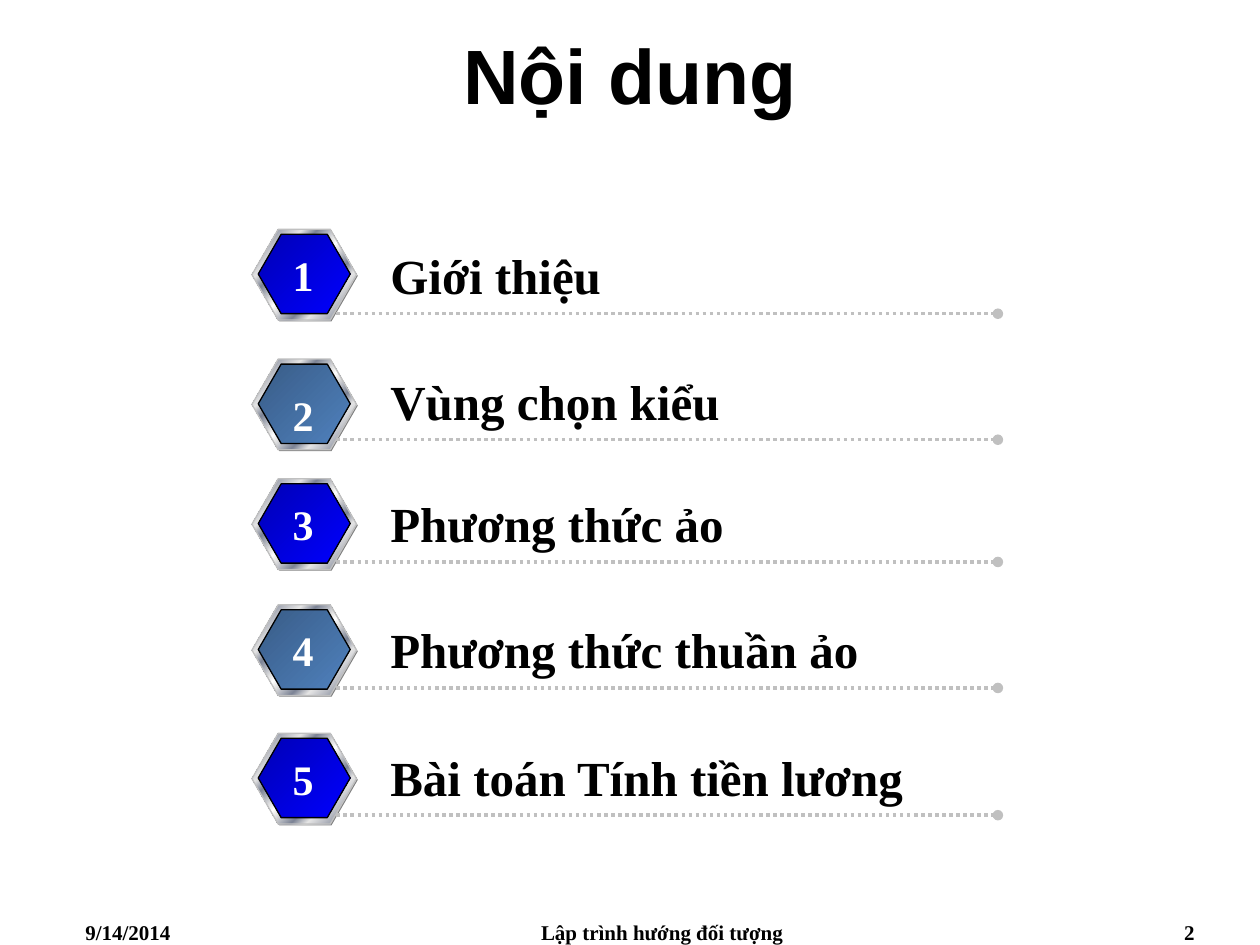
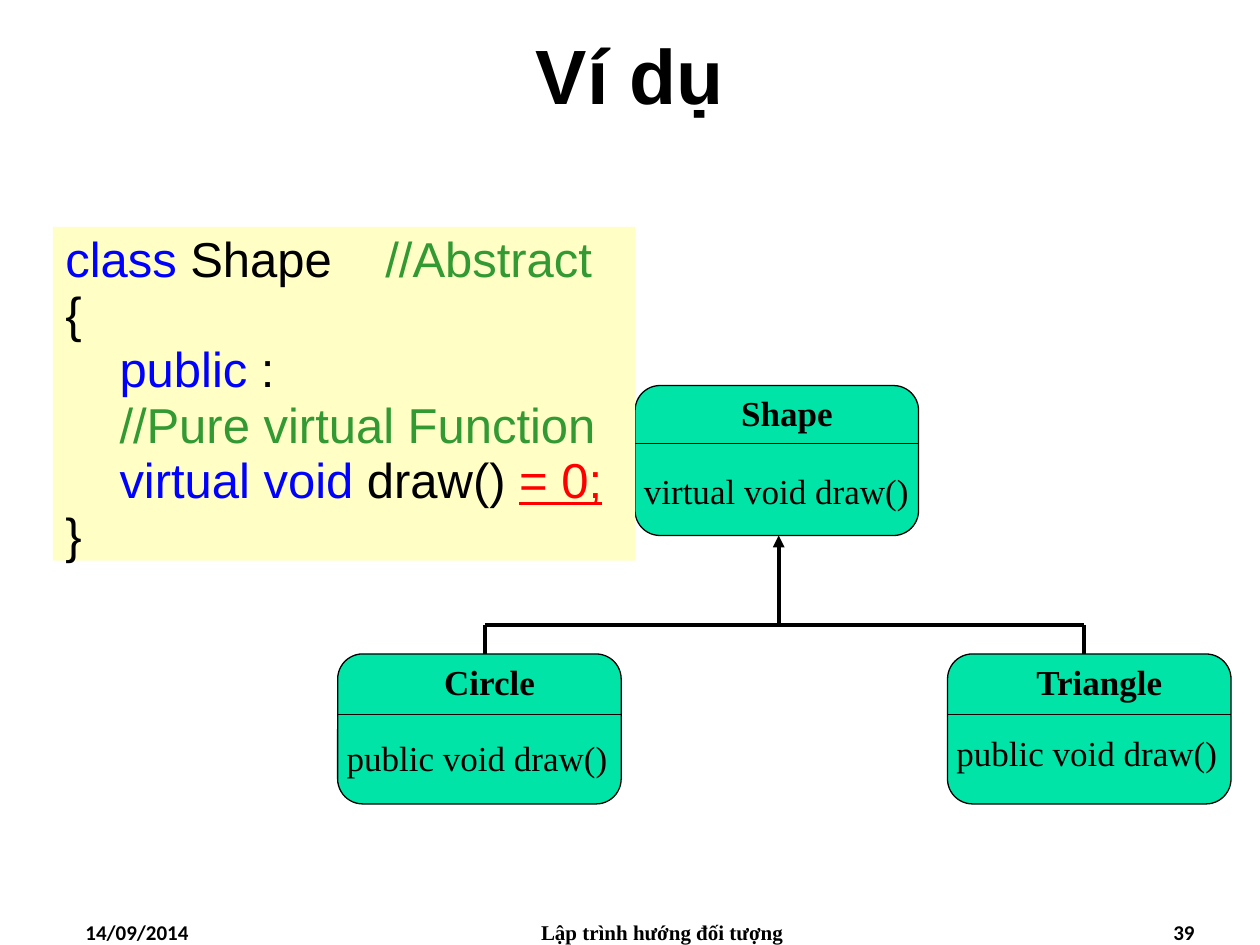
from lxml import etree
from pptx import Presentation
from pptx import util as u
from pptx.dml.color import RGBColor
from pptx.enum import dml, shapes, text
from pptx.oxml.ns import qn

SERIF, SANS, FOOTER_SANS = "Times New Roman", "Arial", "Calibri"
BLACK, WHITE, SILVER, SHADE = "000000", "FFFFFF", "C0C0C0", "808080"
KEYWORD, COMMENT, ACCENT = "0000FF", "339933", "FF0000"
CARD, PAPER = "00E4A8", "FFFFC5"
STEEL = list(zip(
    (0, 7, 26, 34, 46, 50, 54, 66, 74, 93, 100),
    ("E6E6E6", "7D8496", "E6E6E6", "7D8496", "E6E6E6", WHITE,
     "E6E6E6", "7D8496", "E6E6E6", "7D8496", "E6E6E6")))
BADGES = [[(0, "0000B6"), (100, "0000FF")], [(0, "395C87"), (100, "4F81BD")]]


def paint(shape, fill=None, line=None, width=0.75, tail=None):
    """Set a flat or gradient fill, the outline and its end, without shadow."""
    properties = shape._element.spPr
    if isinstance(fill, str):
        shape.fill.solid()
        shape.fill.fore_color.rgb = RGBColor.from_string(fill)
    elif fill:
        shape.fill.gradient()
        shape.fill.gradient_angle = 315
        stops = properties.find(qn("a:gradFill")).find(qn("a:gsLst"))
        for stop in list(stops):
            stops.remove(stop)
        for share, colour in fill:
            stop = etree.SubElement(stops, qn("a:gs"), pos=str(share * 1000))
            etree.SubElement(stop, qn("a:srgbClr"), val=colour)
    if line:
        shape.line.color.rgb = RGBColor.from_string(line)
        shape.line.width = u.Pt(width)
    else:
        shape.line.fill.background()
    if tail == "oval":
        shape.line.dash_style = dml.MSO_LINE.ROUND_DOT
    if tail:
        etree.SubElement(properties.find(qn("a:ln")), qn("a:tailEnd"), type=tail)
    etree.SubElement(properties, qn("a:effectLst"))


def write(frame, lines, size, font, bold=False, align=text.PP_ALIGN.LEFT):
    """Fill a text frame with lines, each a list of (words, colour) runs."""
    frame.word_wrap = True
    frame.auto_size = text.MSO_AUTO_SIZE.NONE
    for number, pieces in enumerate(lines):
        paragraph = frame.add_paragraph() if number else frame.paragraphs[0]
        paragraph.alignment = align
        for words, colour in pieces:
            run = paragraph.add_run()
            run.text = words
            run.font.size, run.font.name, run.font.bold = u.Pt(size), font, bold
            run.font.color.rgb = RGBColor.from_string(colour)


deck = Presentation()
deck.slide_width, deck.slide_height = u.Inches(10), u.Inches(7.5)

# Shared title band, set once on the layout
layout = deck.slide_layouts[5]
band = layout.placeholders[0]
band.left, band.top, band.width, band.height = 0, 0, deck.slide_width, u.Inches(1.17)
band.text_frame.vertical_anchor = text.MSO_ANCHOR.MIDDLE

# Titles and footers of both slides
slides = []
for heading, date, page, footer_font in (
        ("Nội dung", "9/14/2014", "2", SERIF),
        ("Ví dụ", "14/09/2014", "39", FOOTER_SANS)):
    slide = deck.slides.add_slide(layout)
    slides.append(slide)
    write(slide.shapes.title.text_frame, [[(heading, BLACK)]], 44, SANS, True,
          text.PP_ALIGN.CENTER)
    for words, left, width, font, align in (
            (date, 0.58, 2.33, footer_font, text.PP_ALIGN.LEFT),
            ("Lập trình hướng đối tượng", 3.67, 3.17, SERIF, text.PP_ALIGN.CENTER),
            (page, 7.25, 2.33, footer_font, text.PP_ALIGN.RIGHT)):
        footer = slide.shapes.add_textbox(
            u.Inches(left), u.Inches(7.25), u.Inches(width), u.Inches(0.25))
        write(footer.text_frame, [[(words, BLACK)]], 12, font, True, align)
agenda, example = slides

# Agenda: numbered hexagons, each with a topic on a dotted rule
topics = (  # topic, hexagon top, rule height, drop of the number
    ("Giới thiệu", 1.82, 2.49, 0.11),
    ("Vùng chọn kiểu", 2.85, 3.49, 0.19),
    ("Phương thức ảo", 3.80, 4.46, 0.11),
    ("Phương thức thuần ảo", 4.80, 5.46, 0.11),
    ("Bài toán Tính tiền lương", 5.82, 6.47, 0.11))
for index, (topic, top, rule_y, drop) in enumerate(topics):
    row = agenda.shapes.add_group_shape().shapes
    for left, down, width, height, fill, edge in (
            (2.01, 0.01, 0.83, 0.72, SHADE, None),
            (2.00, 0, 0.83, 0.72, STEEL, SILVER),
            (2.05, 0.04, 0.73, 0.63, BADGES[index % 2], BLACK)):
        hexagon = row.add_shape(
            shapes.MSO_SHAPE.HEXAGON, u.Inches(left), u.Inches(top + down),
            u.Inches(width), u.Inches(height))
        hexagon.adjustments[0] = 0.289
        paint(hexagon, fill, edge)
    rule = row.add_connector(shapes.MSO_CONNECTOR.STRAIGHT, u.Inches(2.67),
                             u.Inches(rule_y), u.Inches(7.92), u.Inches(rule_y))
    paint(rule, line=SILVER, width=2, tail="oval")
    label = row.add_textbox(u.Inches(3), u.Inches(rule_y - 0.59),
                            u.Inches(4.92), u.Inches(0.57))
    write(label.text_frame, [[(topic, BLACK)]], 28, SERIF, True)
    number = row.add_textbox(u.Inches(2.22), u.Inches(top + drop),
                             u.Inches(0.37), u.Inches(0.5))
    write(number.text_frame, [[(str(index + 1), WHITE)]], 24, SERIF, True,
          text.PP_ALIGN.CENTER)

# Example: class cards with a name above a divider and a method below
CARD_W, CARD_H = 2.25, 1.19
cards = (  # name, method, left, top, divider drop, method drop
    ("Shape", "virtual void draw()", 5.04, 3.06, 0.46, 0.62),
    ("Circle", "public void draw()", 2.68, 5.19, 0.48, 0.61),
    ("Triangle", "public void draw()", 7.52, 5.19, 0.48, 0.57))
for name, method, left, top, divider_drop, method_drop in cards:
    card = example.shapes.add_shape(
        shapes.MSO_SHAPE.FLOWCHART_ALTERNATE_PROCESS,
        u.Inches(left), u.Inches(top), u.Inches(CARD_W), u.Inches(CARD_H))
    paint(card, CARD, BLACK)
    divider = example.shapes.add_connector(
        shapes.MSO_CONNECTOR.STRAIGHT, u.Inches(left), u.Inches(top + divider_drop),
        u.Inches(left + CARD_W), u.Inches(top + divider_drop))
    paint(divider, line=BLACK)
    for words, shift, drop, bold, align in (
            (name, 0.08, 0, True, text.PP_ALIGN.CENTER),
            (method, 0, method_drop, False, text.PP_ALIGN.LEFT)):
        caption = example.shapes.add_textbox(
            u.Inches(left + shift), u.Inches(top + drop),
            u.Inches(CARD_W), u.Inches(0.44))
        caption.text_frame.margin_left = u.Inches(0.07)
        caption.text_frame.margin_right = u.Inches(0.07 if bold else 0)
        write(caption.text_frame, [[(words, BLACK)]], 20, SERIF, bold, align)

# Inheritance tree from the two subclasses up to the base class
CIRCLE_X, SHAPE_X, TRIANGLE_X = 3.85, 6.18, 8.6
BASE_Y, BRANCH_Y, SUB_Y = 4.25, 4.96, 5.19
for x1, y1, x2, y2, tail in (
        (CIRCLE_X, BRANCH_Y, TRIANGLE_X, BRANCH_Y, None),
        (CIRCLE_X, BRANCH_Y, CIRCLE_X, SUB_Y, None),
        (TRIANGLE_X, BRANCH_Y, TRIANGLE_X, SUB_Y, None),
        (SHAPE_X, BRANCH_Y, SHAPE_X, BASE_Y, "triangle")):
    branch = example.shapes.add_connector(
        shapes.MSO_CONNECTOR.STRAIGHT,
        u.Inches(x1), u.Inches(y1), u.Inches(x2), u.Inches(y2))
    paint(branch, line=BLACK, width=2.25, tail=tail)

# Code listing, with indents and a tab stop for the comment
listing = example.shapes.add_shape(
    shapes.MSO_SHAPE.RECTANGLE,
    u.Inches(0.42), u.Inches(1.8), u.Inches(4.62), u.Inches(2.65))
paint(listing, PAPER)
listing.text_frame.vertical_anchor = text.MSO_ANCHOR.TOP
write(listing.text_frame, [
    [("class", KEYWORD), (" Shape\t", BLACK), ("//Abstract", COMMENT)],
    [("{", BLACK)],
    [("public ", KEYWORD), (":", BLACK)],
    [("//Pure virtual Function", COMMENT)],
    [("virtual void", KEYWORD), (" draw() ", BLACK), ("= 0;", ACCENT)],
    [("}", BLACK)]], 28, SANS)
code = listing.text_frame.paragraphs
for paragraph in code:
    paragraph.line_spacing = 0.94
for paragraph in code[2:5]:
    paragraph._p.get_or_add_pPr().set("marL", str(u.Inches(0.43)))
tabs = etree.SubElement(code[0]._p.get_or_add_pPr(), qn("a:tabLst"))
etree.SubElement(tabs, qn("a:tab"), pos=str(u.Inches(2.54)), algn="l")
code[4].runs[-1].font.underline = True

deck.save("out.pptx")
